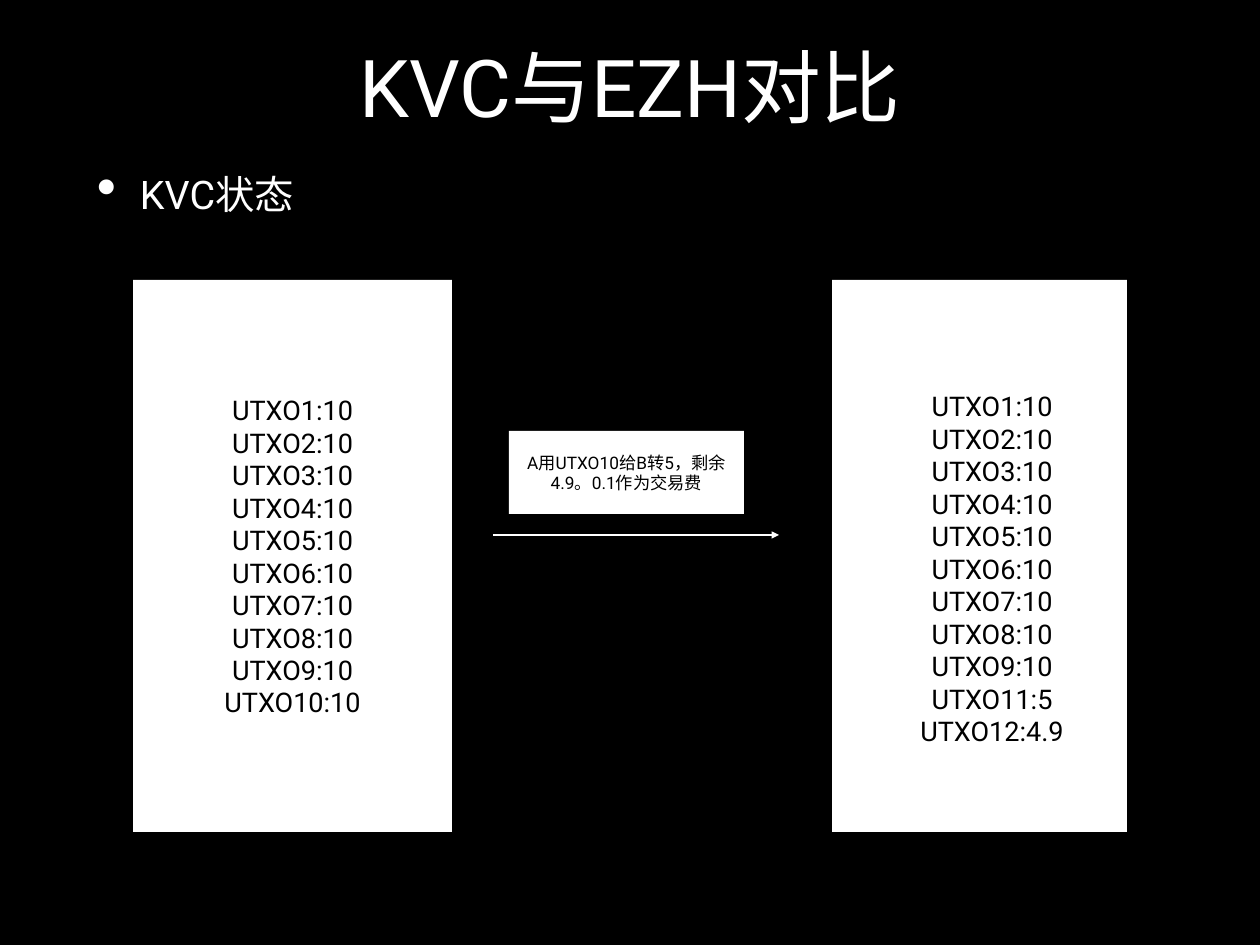
from lxml.etree import SubElement
from pptx import Presentation
from pptx.dml.color import RGBColor
from pptx.enum.shapes import MSO_CONNECTOR, MSO_SHAPE
from pptx.enum.text import MSO_ANCHOR, MSO_AUTO_SIZE, PP_ALIGN
from pptx.oxml.ns import qn
from pptx.util import Pt

PX = 10320  # EMU per px


class Theme:
    black = RGBColor(0x00, 0x00, 0x00)
    white = RGBColor(0xFF, 0xFF, 0xFF)
    font = "Roboto"
    title = Pt(64.8)
    bullet = Pt(32)
    state = Pt(22)
    transfer = Pt(14)
    arrow = Pt(2)


def write(shape, lines, size, color, align=PP_ALIGN.CENTER, wrap=True):
    """Fill a shape with one paragraph per line and return its text frame."""
    frame = shape.text_frame
    inset = 5 * PX
    layout = dict(word_wrap=wrap, vertical_anchor=MSO_ANCHOR.MIDDLE,
                  margin_left=inset, margin_right=inset,
                  margin_top=inset, margin_bottom=inset)
    for key, value in layout.items():
        setattr(frame, key, value)
    frame.text = "\n".join(lines)
    for paragraph in frame.paragraphs:
        paragraph.alignment = align
        font = paragraph.runs[0].font
        font.name, font.size = Theme.font, size
        font.color.rgb = color
    return frame


def add_panel(left, top, width, height):
    panel = slide.shapes.add_shape(
        MSO_SHAPE.RECTANGLE, left * PX, top * PX, width * PX, height * PX)
    panel.shadow.inherit = False
    panel.fill.solid()
    panel.fill.fore_color.rgb = Theme.white
    panel.line.fill.background()
    return panel


prs = Presentation()
prs.slide_width, prs.slide_height = 1260 * PX, 945 * PX
slide = prs.slides.add_slide(prs.slide_layouts[6])
slide.background.fill.solid()
slide.background.fill.fore_color.rgb = Theme.black

# Heading and bullet
heading = slide.shapes.add_textbox(92 * PX, 25 * PX, 1076 * PX, 121 * PX)
write(heading, ["KVC与EZH对比"], Theme.title, Theme.white)

topic = slide.shapes.add_textbox(92 * PX, 159 * PX, 1076 * PX, 69 * PX)
topic_frame = write(topic, ["KVC状态"], Theme.bullet, Theme.white, PP_ALIGN.LEFT)
topic_format = topic_frame.paragraphs[0]._p.get_or_add_pPr()
topic_format.set("marL", str(43 * PX))
topic_format.set("indent", str(-43 * PX))
SubElement(topic_format, qn("a:buSzPct"), val="145000")
SubElement(topic_format, qn("a:buChar"), char="•")

# State before and after the transfer
unspent = [f"UTXO{n}:10" for n in range(1, 10)]
before = add_panel(133, 280, 319, 552)
write(before, unspent + ["UTXO10:10"], Theme.state, Theme.black)

add_panel(832, 280, 295, 552)
after = slide.shapes.add_textbox(912 * PX, 381 * PX, 160 * PX, 375 * PX)
after_frame = write(after, unspent + ["UTXO11:5", "UTXO12:4.9"],
                    Theme.state, Theme.black, wrap=False)
after_frame.auto_size = MSO_AUTO_SIZE.SHAPE_TO_FIT_TEXT

# Transfer
transfer = add_panel(509, 431, 235, 83)
write(transfer, ["A用UTXO10给B转5，剩余4.9。0.1作为交易费"],
      Theme.transfer, Theme.black)

arrow = slide.shapes.add_connector(
    MSO_CONNECTOR.STRAIGHT, 493 * PX, 535 * PX, 779 * PX, 535 * PX)
arrow.line.color.rgb = Theme.white
arrow.line.width = Theme.arrow
SubElement(arrow.line._get_or_add_ln(), qn("a:tailEnd"), type="triangle")
SubElement(arrow._element.spPr, qn("a:effectLst"))

prs.save("out.pptx")
